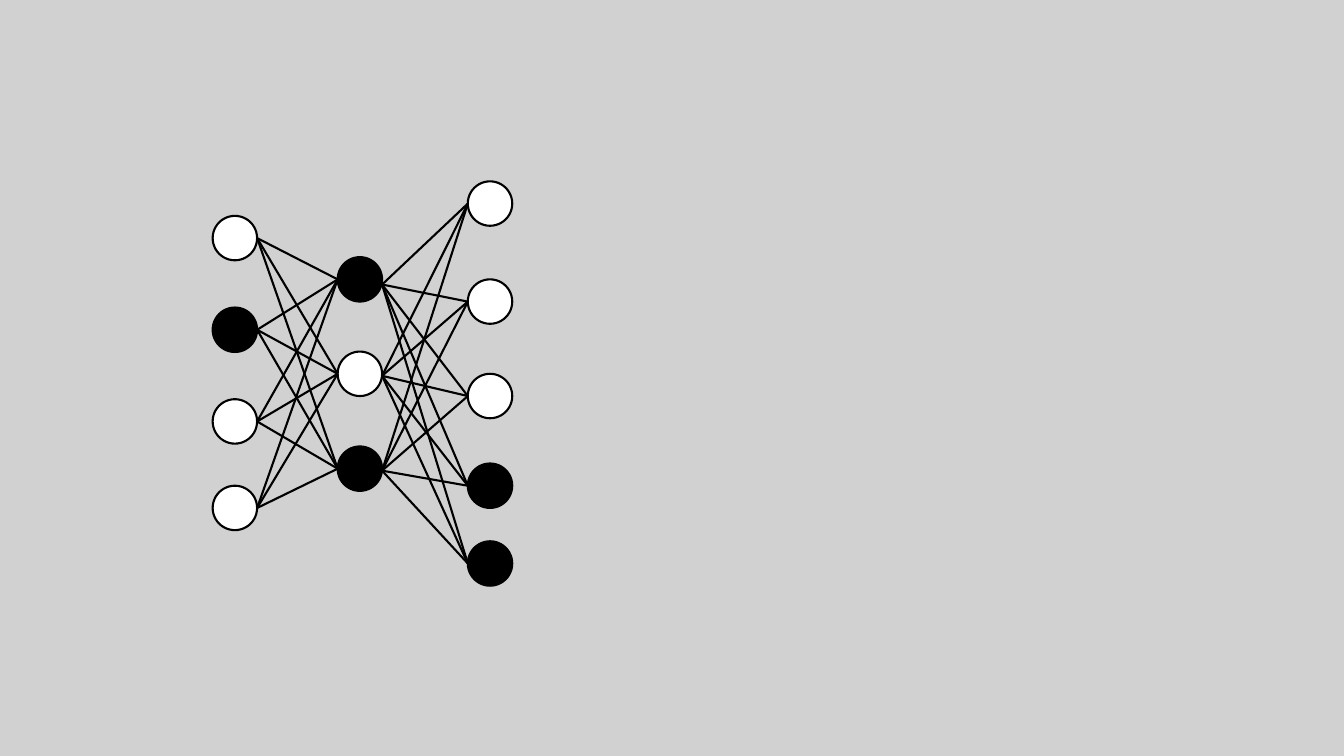
"""Build a slide with a three-layer neural network diagram."""
from itertools import pairwise, product

from lxml.etree import SubElement
from pptx import Presentation
from pptx.dml.color import RGBColor
from pptx.enum.shapes import MSO_CONNECTOR, MSO_SHAPE
from pptx.oxml.ns import qn
from pptx.util import Cm, Pt

COLORS = {"background": "D1D1D1", "idle": "FFFFFF", "active": "000000", "line": "000000"}
LAYERS = [
    {"left": 5.36, "nodes": [(5.44, "idle", 0), (7.75, "active", 0),
                             (10.06, "idle", 0), (12.24, "idle", 0)]},
    {"left": 8.51, "nodes": [(6.48, "active", 0.13), (8.86, "idle", 0.05),
                             (11.25, "active", 0.05)]},
    {"left": 11.79, "nodes": [(4.57, "idle", 0), (7.04, "idle", 0), (9.42, "idle", 0),
                              (11.68, "active", 0), (13.64, "active", 0)]},
]
DIAMETER = 1.12
LINE_WIDTH = 1.5


def color(name):
    return RGBColor.from_string(COLORS[name])


def style_line(shape):
    shape.line.color.rgb = color("line")
    shape.line.width = Pt(LINE_WIDTH)


def add_neuron(slide, left, top, state):
    neuron = slide.shapes.add_shape(
        MSO_SHAPE.OVAL, Cm(left), Cm(top), Cm(DIAMETER), Cm(DIAMETER))
    neuron.shadow.inherit = False
    neuron.fill.solid()
    neuron.fill.fore_color.rgb = color(state)
    style_line(neuron)


def add_link(slide, start, end):
    link = slide.shapes.add_connector(
        MSO_CONNECTOR.STRAIGHT, *(Cm(value) for value in (*start, *end)))
    style_line(link)
    SubElement(link._element.spPr, qn("a:effectLst"))


def main():
    presentation = Presentation()
    presentation.slide_width, presentation.slide_height = Cm(33.87), Cm(19.05)
    slide = presentation.slides.add_slide(presentation.slide_layouts[6])
    slide.background.fill.solid()
    slide.background.fill.fore_color.rgb = color("background")

    for layer in LAYERS:
        for top, state, _ in layer["nodes"]:
            add_neuron(slide, layer["left"], top, state)

    radius = DIAMETER / 2
    for source, target in pairwise(LAYERS):
        for (start_top, _, exit_drop), (end_top, _, _) in product(source["nodes"], target["nodes"]):
            add_link(slide,
                     (source["left"] + DIAMETER, start_top + radius + exit_drop),
                     (target["left"], end_top + radius))

    presentation.save("out.pptx")


if __name__ == "__main__":
    main()
